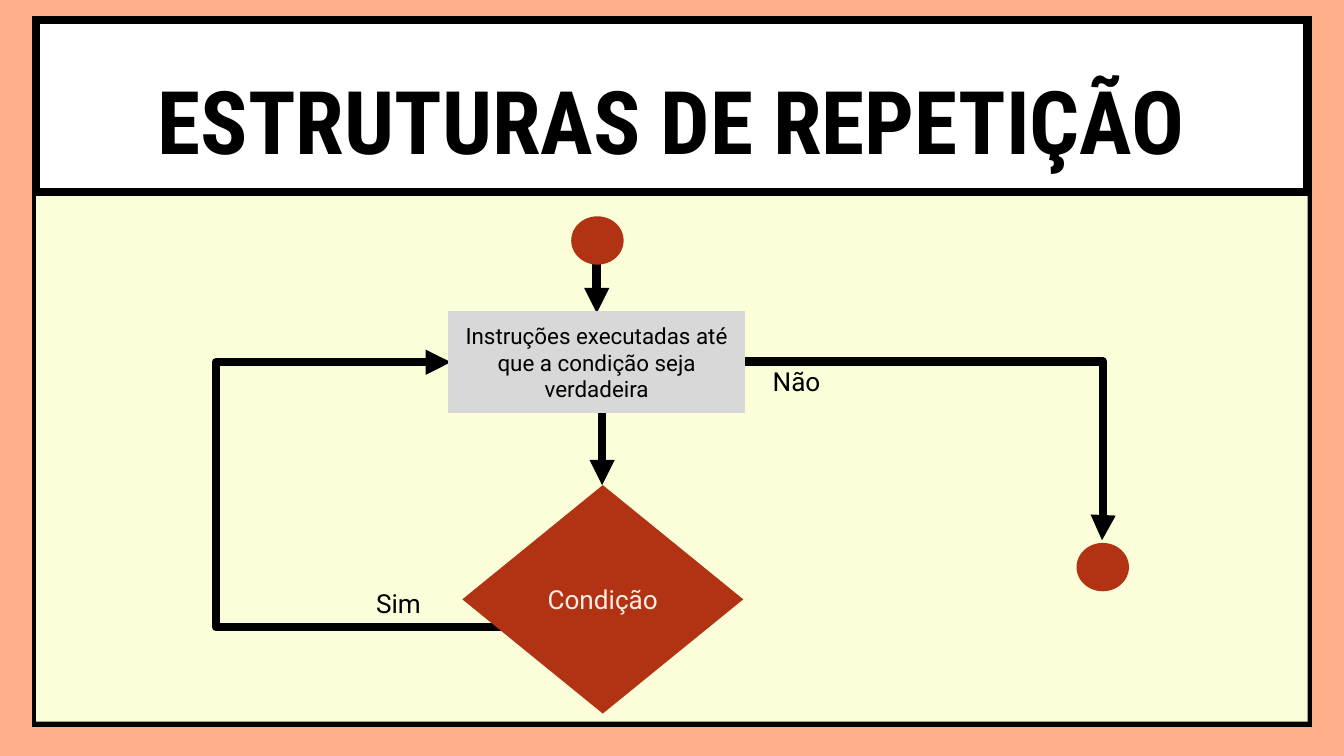
"""Build a slide with a flowchart of repetition structures."""
from lxml.etree import SubElement
from pptx import Presentation
from pptx.dml.color import RGBColor
from pptx.enum.shapes import MSO_CONNECTOR, MSO_SHAPE
from pptx.enum.text import MSO_ANCHOR, MSO_AUTO_SIZE, PP_ALIGN
from pptx.oxml.ns import qn
from pptx.util import Inches, Pt

COLORS = {
    "backdrop": "FEB18B", "cream": "FBFED9", "white": "FFFFFF", "black": "000000",
    "rust": "B23214", "gray": "D8D8D8", "blush": "FFEEE6",
}
SLIDE_WIDTH = Inches(10)
SLIDE_HEIGHT = SLIDE_WIDTH * 9 // 16
HEADING = "ESTRUTURAS DE REPETIÇÃO"
HEADING_BOX = (0.27, 0.18, 9.46, 1.11)
PANELS = [
    ((0.27, 1.41, 9.46, 3.97), "cream", "black", 4.5),
    ((0.27, 1.32, 9.46, 4.05), "cream", None, 0),
    ((0.27, 0.15, 9.46, 1.28), "white", "black", 4.5),
]
STRAIGHT_ARROWS = [((4.44, 1.86), (4.44, 2.33)), ((4.48, 2.77), (4.48, 3.61))]
EXIT_ARROW = ((5.53, 2.69), (8.2, 4.02))
EXIT_BEND = {"adj1": 100300}
LOOP_ARROW = ((2.74, 3.31), (4.71, 4.05))
LOOP_BEND = {"adj1": -100, "adj2": 336200}
LOOP_TURN = {"rot": "5400000", "flipH": "1"}
CIRCLES = [(4.25, 1.61, 0.39, 0.36), (8.01, 4.04, 0.39, 0.36)]
DECISION = ((3.44, 3.61, 2.09, 1.7), ["Condição"])
STEP = ((3.35, 2.33, 2.18, 0.73),
        ["Instruções executadas até", "que a condição seja verdadeira"])
LABELS = [((2.7, 4.32, 0.54, 0.34), "Sim"), ((5.65, 2.67, 0.75, 0.34), "Não")]


def color(name):
    return RGBColor.from_string(COLORS[name])


def set_all(target, values):
    for key, value in values.items():
        setattr(target, key, value)


def write(part, lines, frame_format, font_format, ink, **paragraph_format):
    frame = part.text_frame
    frame.text = "\n".join(lines)
    set_all(frame, {"word_wrap": True, **frame_format})
    for paragraph in frame.paragraphs:
        set_all(paragraph, paragraph_format)
        for run in paragraph.runs:
            set_all(run.font, font_format)
            run.font.color.rgb = color(ink)


def add_block(shapes, preset, box, fill, outline=None, width=0):
    block = shapes.add_shape(preset, *map(Inches, box))
    block.shadow.inherit = False
    block.fill.solid()
    block.fill.fore_color.rgb = color(fill)
    if outline:
        block.line.color.rgb = color(outline)
        block.line.width = Pt(width)
        SubElement(block._element.spPr.find(qn("a:ln")), qn("a:miter"), lim="800000")
    else:
        block.line.fill.background()
    return block


def add_arrow(shapes, ends, kind=MSO_CONNECTOR.STRAIGHT):
    start, end = ends
    arrow = shapes.add_connector(kind, *map(Inches, start + end))
    arrow.line.color.rgb = color("black")
    arrow.line.width = Pt(4.5)
    properties = arrow._element.spPr
    stroke = properties.find(qn("a:ln"))
    SubElement(stroke, qn("a:round"))
    SubElement(stroke, qn("a:tailEnd"), type="triangle")
    SubElement(properties, qn("a:effectLst"))
    return arrow


def bend(arrow, adjustments, preset="bentConnector3", turn=None):
    properties = arrow._element.spPr
    geometry = properties.find(qn("a:prstGeom"))
    geometry.set("prst", preset)
    guides = geometry.find(qn("a:avLst"))
    for name, value in adjustments.items():
        SubElement(guides, qn("a:gd"), name=name, fmla=f"val {value}")
    for key, value in (turn or {}).items():
        properties.find(qn("a:xfrm")).set(key, value)


def main():
    deck = Presentation()
    set_all(deck, {"slide_width": SLIDE_WIDTH, "slide_height": SLIDE_HEIGHT})
    slide = deck.slides.add_slide(deck.slide_layouts[5])
    slide.background.fill.solid()
    slide.background.fill.fore_color.rgb = color("backdrop")
    shapes = slide.shapes

    for box, fill, outline, width in PANELS:
        add_block(shapes, MSO_SHAPE.RECTANGLE, box, fill, outline, width)

    heading = shapes.title
    set_all(heading, dict(zip(("left", "top", "width", "height"), map(Inches, HEADING_BOX))))
    margins = dict.fromkeys(("margin_left", "margin_top", "margin_right", "margin_bottom"), 0)
    write(heading, [HEADING],
          {"vertical_anchor": MSO_ANCHOR.TOP, "auto_size": MSO_AUTO_SIZE.NONE, **margins},
          {"name": "Roboto Condensed", "size": Pt(47), "bold": True}, "black",
          alignment=PP_ALIGN.CENTER, line_spacing=1.4, space_before=Pt(0))
    shapes._spTree.append(heading._element)

    for ends in STRAIGHT_ARROWS:
        add_arrow(shapes, ends)
    bend(add_arrow(shapes, LOOP_ARROW, MSO_CONNECTOR.ELBOW), LOOP_BEND,
         "bentConnector4", LOOP_TURN)
    bend(add_arrow(shapes, EXIT_ARROW, MSO_CONNECTOR.ELBOW), EXIT_BEND)

    for box in CIRCLES:
        add_block(shapes, MSO_SHAPE.OVAL, box, "rust")

    middle = {"vertical_anchor": MSO_ANCHOR.MIDDLE}
    body = {"name": "Roboto", "size": Pt(14)}
    box, lines = DECISION
    decision = add_block(shapes, MSO_SHAPE.DIAMOND, box, "rust")
    write(decision, lines, middle, body, "blush", alignment=PP_ALIGN.CENTER)
    box, lines = STEP
    step = add_block(shapes, MSO_SHAPE.RECTANGLE, box, "gray", "gray", 2)
    write(step, lines, middle, {**body, "size": Pt(12)}, "black", alignment=PP_ALIGN.CENTER)

    for box, answer in LABELS:
        label = shapes.add_textbox(*map(Inches, box))
        write(label, [answer], {"auto_size": MSO_AUTO_SIZE.SHAPE_TO_FIT_TEXT}, body, "black")

    deck.save("out.pptx")


if __name__ == "__main__":
    main()
